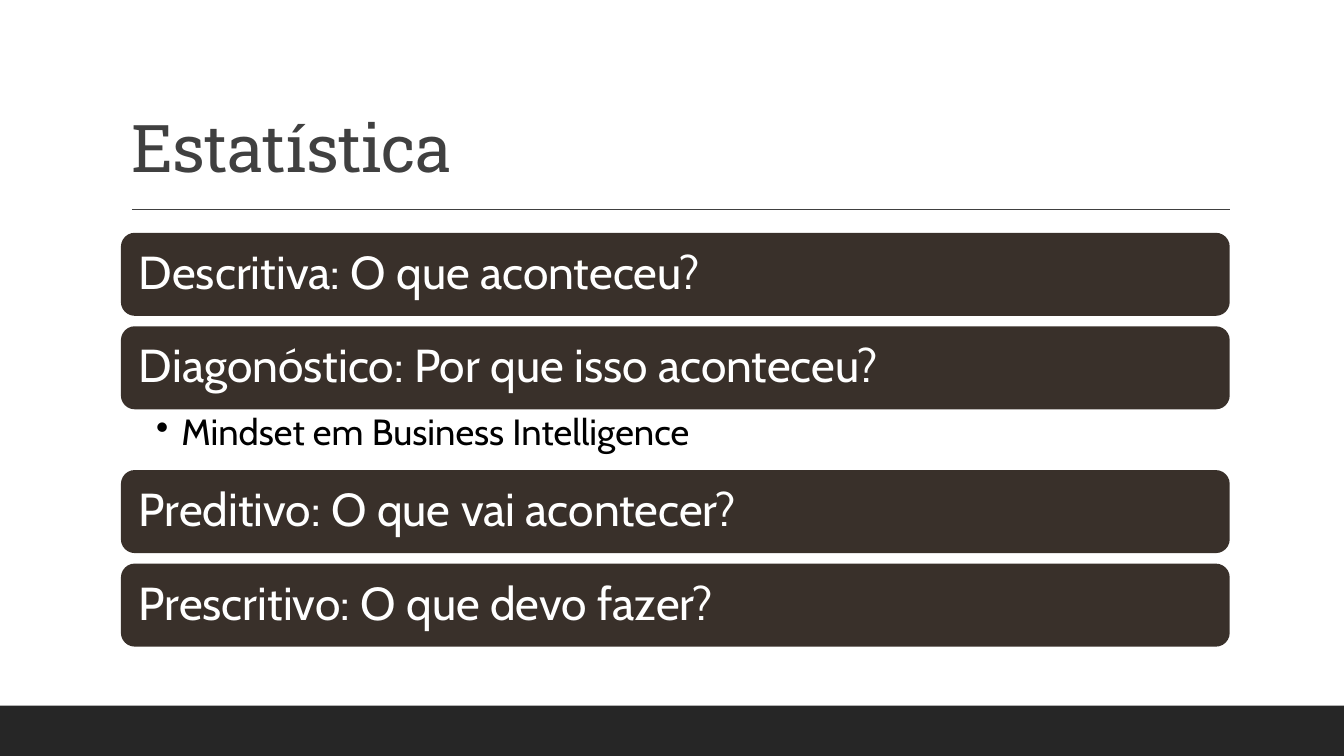
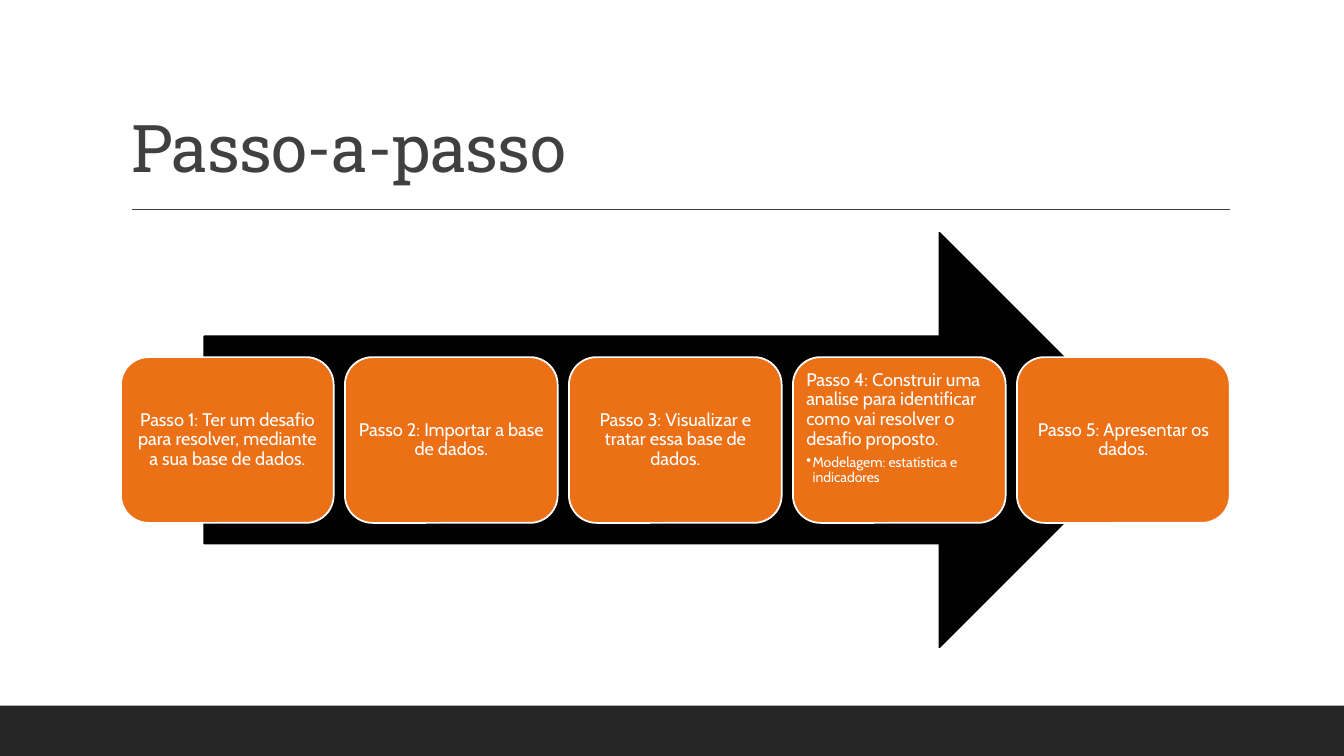
from lxml.etree import SubElement
from pptx import Presentation
from pptx.dml.color import RGBColor
from pptx.enum.shapes import MSO_CONNECTOR, MSO_SHAPE
from pptx.enum.text import MSO_ANCHOR, MSO_AUTO_SIZE, PP_ALIGN
from pptx.oxml.ns import qn
from pptx.util import Pt

COLORS = {
    "band": "262626",
    "title": "404040",
    "bar": "39302A",
    "step": "EC7016",
    "black": "000000",
    "white": "FFFFFF",
}
TITLE_FONT, BODY_FONT = "Roboto Slab", "Cabin"
SLIDE_W, SLIDE_H = 960, 540
LEFT, CONTENT_W = 86.4, 792
CONTENT_TOP = 166.3

QUESTIONS = [
    ("Descritiva: O que aconteceu?", None),
    ("Diagonóstico: Por que isso aconteceu?", "Mindset em Business Intelligence"),
    ("Preditivo: O que vai acontecer?", None),
    ("Prescritivo: O que devo fazer?", None),
]
STEPS = [
    ("Passo 1: Ter um desafio para resolver, mediante a sua base de dados.", None),
    ("Passo 2: Importar a base de dados.", None),
    ("Passo 3: Visualizar e tratar essa base de dados.", None),
    ("Passo 4: Construir uma analise para identificar como vai resolver o desafio proposto.",
     "Modelagem: estatística e indicadores"),
    ("Passo 5: Apresentar os dados.", None),
]


def rgb(name):
    return RGBColor.from_string(COLORS[name])


def box(left, top, width, height):
    return Pt(left), Pt(top), Pt(width), Pt(height)


def set_frame(frame, insets, anchor):
    """Wrap the text and set its insets (left, top, right, bottom) and anchor."""
    frame.word_wrap = True
    frame.auto_size = MSO_AUTO_SIZE.NONE
    frame.vertical_anchor = anchor
    (frame.margin_left, frame.margin_top,
     frame.margin_right, frame.margin_bottom) = map(Pt, insets)


def format_paragraph(paragraph, size, color, font=BODY_FONT, align=PP_ALIGN.LEFT):
    paragraph.alignment = align
    paragraph.line_spacing = 0.9
    for run in paragraph.runs:
        run.font.size = Pt(size)
        run.font.name = font
        run.font.color.rgb = rgb(color)


def add_bullet(paragraph, indent):
    paragraph.level = 1
    properties = paragraph._p.get_or_add_pPr()
    properties.set("marL", str(Pt(indent)))
    properties.set("indent", str(-Pt(indent)))
    SubElement(properties, qn("a:buChar")).set("char", "•")


def add_block(slide, preset, bounds, fill, outline=None):
    block = slide.shapes.add_shape(preset, *box(*bounds))
    block.shadow.inherit = False
    block.fill.solid()
    block.fill.fore_color.rgb = rgb(fill)
    if outline:
        block.line.color.rgb = rgb(outline)
        block.line.width = Pt(1.25)
    else:
        block.line.fill.background()
    return block


def add_titled_slide(prs, heading):
    """Add a slide with the shared bottom band, title and rule."""
    slide = prs.slides.add_slide(prs.slide_layouts[5])
    add_block(slide, MSO_SHAPE.RECTANGLE, (0, 504, SLIDE_W, SLIDE_H - 504), "band")

    rule = slide.shapes.add_connector(
        MSO_CONNECTOR.STRAIGHT, Pt(94.3), Pt(149.5), Pt(878.8), Pt(149.5))
    rule.line.color.rgb = rgb("title")
    rule.line.width = Pt(1)
    SubElement(rule._element.spPr, qn("a:effectLst"))

    title = slide.shapes.title
    title.left, title.top, title.width, title.height = box(LEFT, 22.3, CONTENT_W, 114.5)
    title.text_frame.text = heading
    set_frame(title.text_frame, (7.2, 3.6, 7.2, 3.6), MSO_ANCHOR.BOTTOM)
    paragraph = title.text_frame.paragraphs[0]
    format_paragraph(paragraph, 47, "title", TITLE_FONT)
    paragraph.runs[0].font._element.set("spc", "-50")
    return slide


def add_question(slide, top, height, question):
    bar = add_block(slide, MSO_SHAPE.ROUNDED_RECTANGLE,
                    (LEFT, top, CONTENT_W, height), "bar")
    bar.text_frame.text = question
    set_frame(bar.text_frame, (10, 10, 10, 10), MSO_ANCHOR.MIDDLE)
    format_paragraph(bar.text_frame.paragraphs[0], 33, "white")


def add_detail(slide, top, height, detail):
    frame = slide.shapes.add_textbox(*box(LEFT, top, CONTENT_W, height)).text_frame
    frame.text = detail
    set_frame(frame, (25.2, 3.6, 18.7, 3.6), MSO_ANCHOR.TOP)
    format_paragraph(frame.paragraphs[0], 26, "black")
    add_bullet(frame.paragraphs[0], 18)


def add_step(slide, bounds, step, detail):
    card = add_block(slide, MSO_SHAPE.ROUNDED_RECTANGLE, bounds, "step", "white")
    frame = card.text_frame
    frame.text = step
    set_frame(frame, (3.8, 3.8, 3.8, 3.8), MSO_ANCHOR.TOP if detail else MSO_ANCHOR.MIDDLE)
    format_paragraph(frame.paragraphs[0], 13, "white",
                     align=PP_ALIGN.LEFT if detail else PP_ALIGN.CENTER)
    if detail:
        frame.paragraphs[0].space_after = Pt(4.5)
        note = frame.add_paragraph()
        note.text = detail
        format_paragraph(note, 10, "white")
        add_bullet(note, 4.5)


def build_statistics(prs):
    slide = add_titled_slide(prs, "Estatística")
    bar_height, gap, detail_height = 59.3, 7.5, 43.4
    top = CONTENT_TOP
    for question, detail in QUESTIONS:
        add_question(slide, top, bar_height, question)
        top += bar_height
        if detail:
            add_detail(slide, top, detail_height, detail)
            top += detail_height
        else:
            top += gap


def build_steps(prs):
    slide = add_titled_slide(prs, "Passo-a-passo")
    arrow_height, card_height, gap = 296, 118.4, 8
    add_block(slide, MSO_SHAPE.RIGHT_ARROW,
              (145.8, CONTENT_TOP, 673.2, arrow_height), "black", "black")
    card_width = (CONTENT_W - gap * (len(STEPS) - 1)) / len(STEPS)
    card_top = CONTENT_TOP + (arrow_height - card_height) / 2
    for index, (step, detail) in enumerate(STEPS):
        card_left = LEFT + index * (card_width + gap)
        add_step(slide, (card_left, card_top, card_width, card_height), step, detail)


def main():
    prs = Presentation()
    prs.slide_width, prs.slide_height = Pt(SLIDE_W), Pt(SLIDE_H)
    build_statistics(prs)
    build_steps(prs)
    prs.save("out.pptx")


if __name__ == "__main__":
    main()
